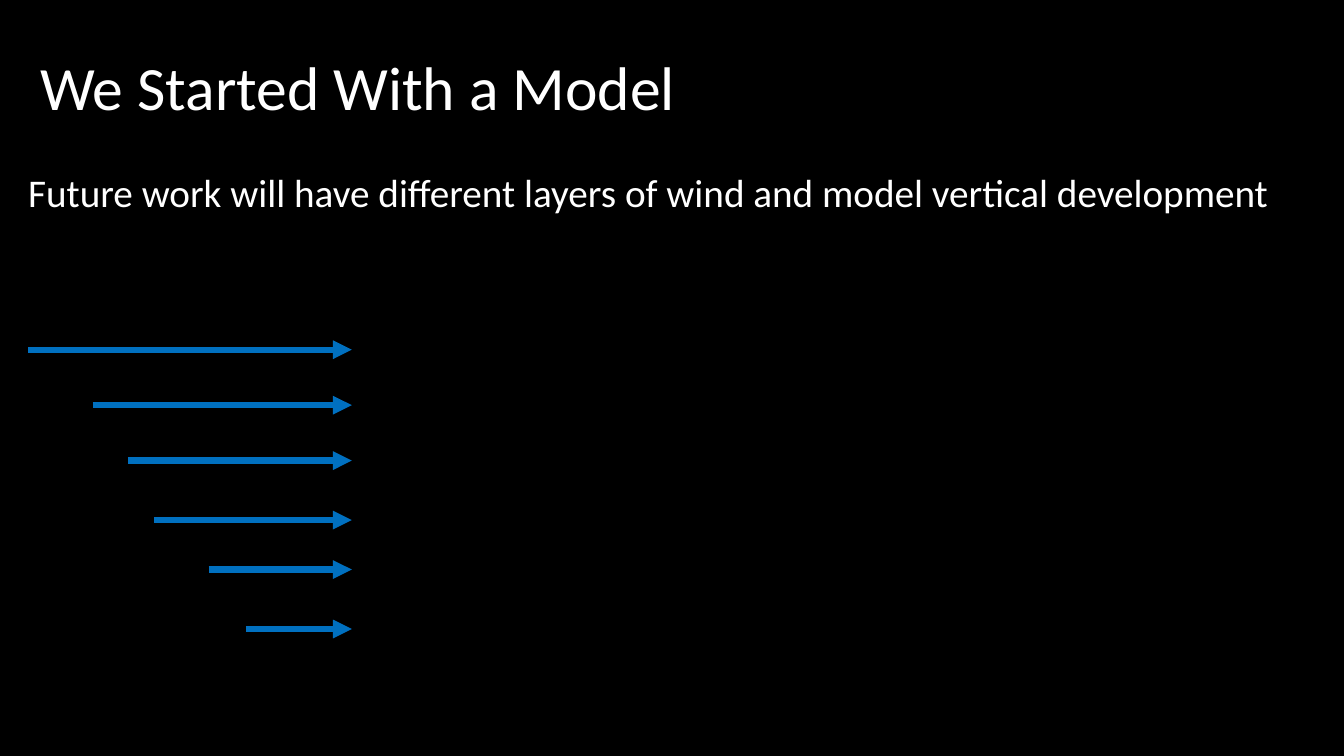
from lxml import etree
from pptx import Presentation
from pptx.dml.color import RGBColor
from pptx.enum.shapes import MSO_CONNECTOR
from pptx.enum.text import MSO_ANCHOR, PP_ALIGN
from pptx.oxml.ns import qn
from pptx.util import Pt

COLORS = {"background": "000000", "text": "FFFFFF", "wind": "0070C0"}
FONT = "Calibri"

# Wind layers: (start x, height y) in points; all arrows end at one x
WIND_END = 251.3
WIND_LAYERS = [
    (175.7, 449.3),
    (149, 406.8),
    (20.2, 249.8),
    (66.2, 289.4),
    (91.4, 329),
    (110.2, 371.5),
]


def write_text(shape, text, size, anchor=MSO_ANCHOR.TOP, line_spacing=1.0):
    frame = shape.text_frame
    frame.word_wrap = True
    frame.vertical_anchor = anchor
    paragraph = frame.paragraphs[0]
    paragraph.text = text
    paragraph.alignment = PP_ALIGN.LEFT
    paragraph.line_spacing = line_spacing
    font = paragraph.runs[0].font
    font.name = FONT
    font.size = Pt(size)
    font.color.rgb = RGBColor.from_string(COLORS["text"])


def add_title(slide, text):
    title = slide.shapes.title
    title.left, title.top = Pt(21.6), Pt(-7.2)
    title.width, title.height = Pt(918), Pt(143.3)
    write_text(title, text, size=44, anchor=MSO_ANCHOR.MIDDLE, line_spacing=0.9)


def add_statement(slide, text):
    box = slide.shapes.add_textbox(Pt(13), Pt(116.6), Pt(925.2), Pt(41))
    write_text(box, text, size=28)


def add_wind_arrow(slide, start, height):
    arrow = slide.shapes.add_connector(
        MSO_CONNECTOR.STRAIGHT, Pt(start), Pt(height), Pt(WIND_END), Pt(height)
    )
    arrow.line.color.rgb = RGBColor.from_string(COLORS["wind"])
    arrow.line.width = Pt(4.5)
    # Arrowhead, and no shadow
    etree.SubElement(arrow.line._get_or_add_ln(), qn("a:tailEnd"), type="triangle")
    etree.SubElement(arrow._element.spPr, qn("a:effectLst"))


def main():
    presentation = Presentation()
    presentation.slide_width, presentation.slide_height = Pt(960), Pt(540)
    slide = presentation.slides.add_slide(presentation.slide_layouts[5])

    # Background
    fill = slide.background.fill
    fill.solid()
    fill.fore_color.rgb = RGBColor.from_string(COLORS["background"])

    # Text
    add_title(slide, "We Started With a Model")
    add_statement(
        slide,
        "Future work will have different layers of wind and model vertical development",
    )

    # Wind profile
    for start, height in WIND_LAYERS:
        add_wind_arrow(slide, start, height)

    presentation.save("out.pptx")


if __name__ == "__main__":
    main()
